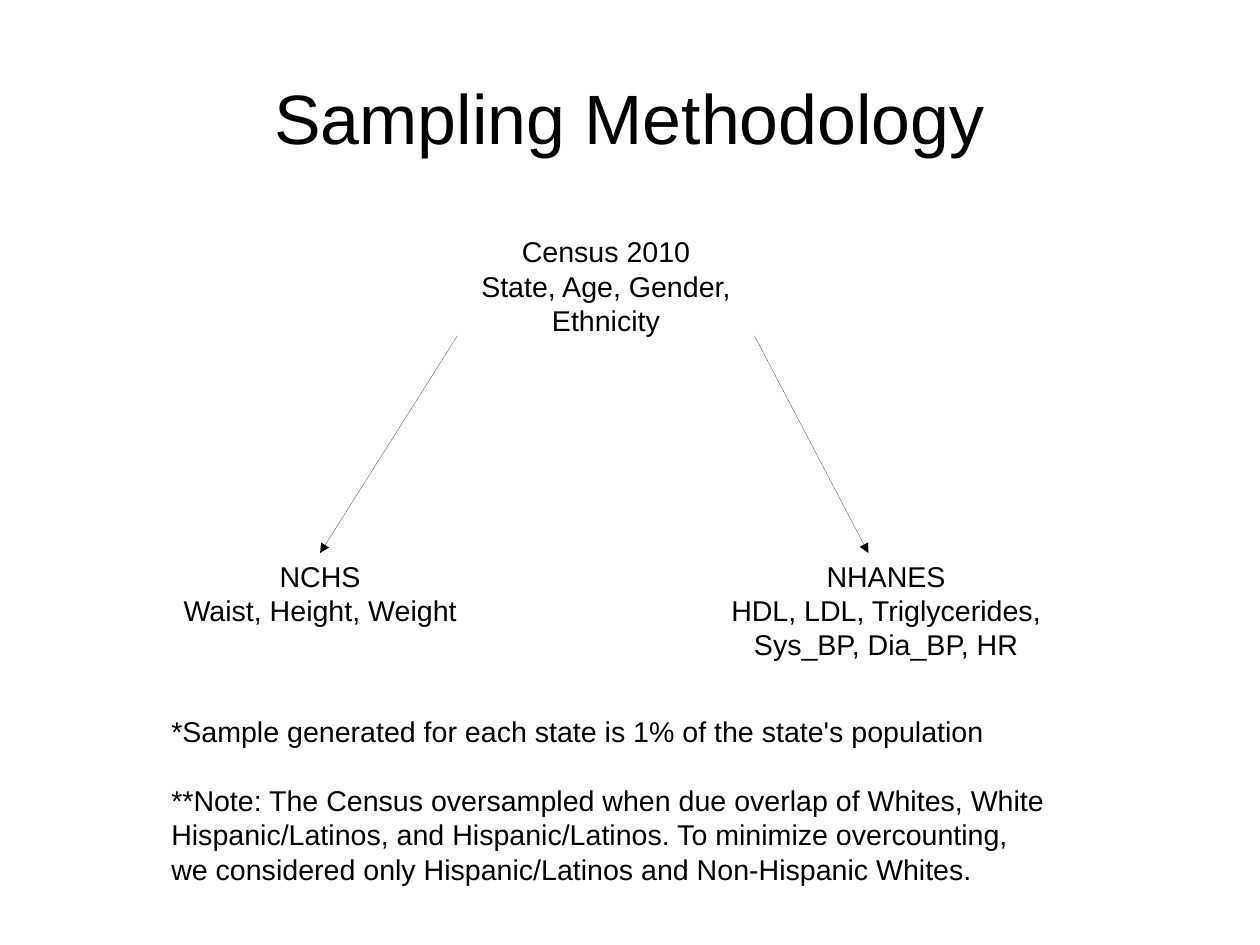
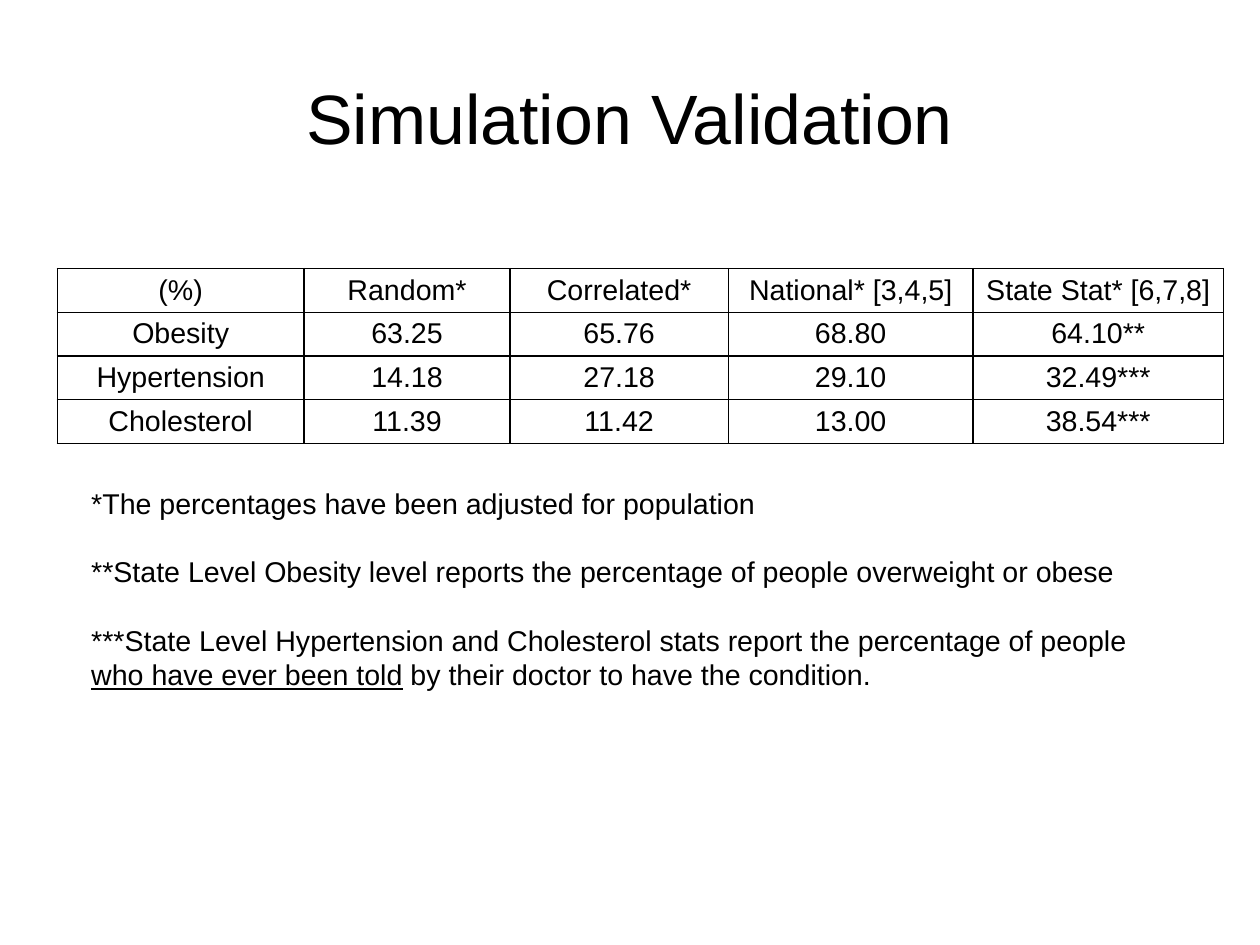
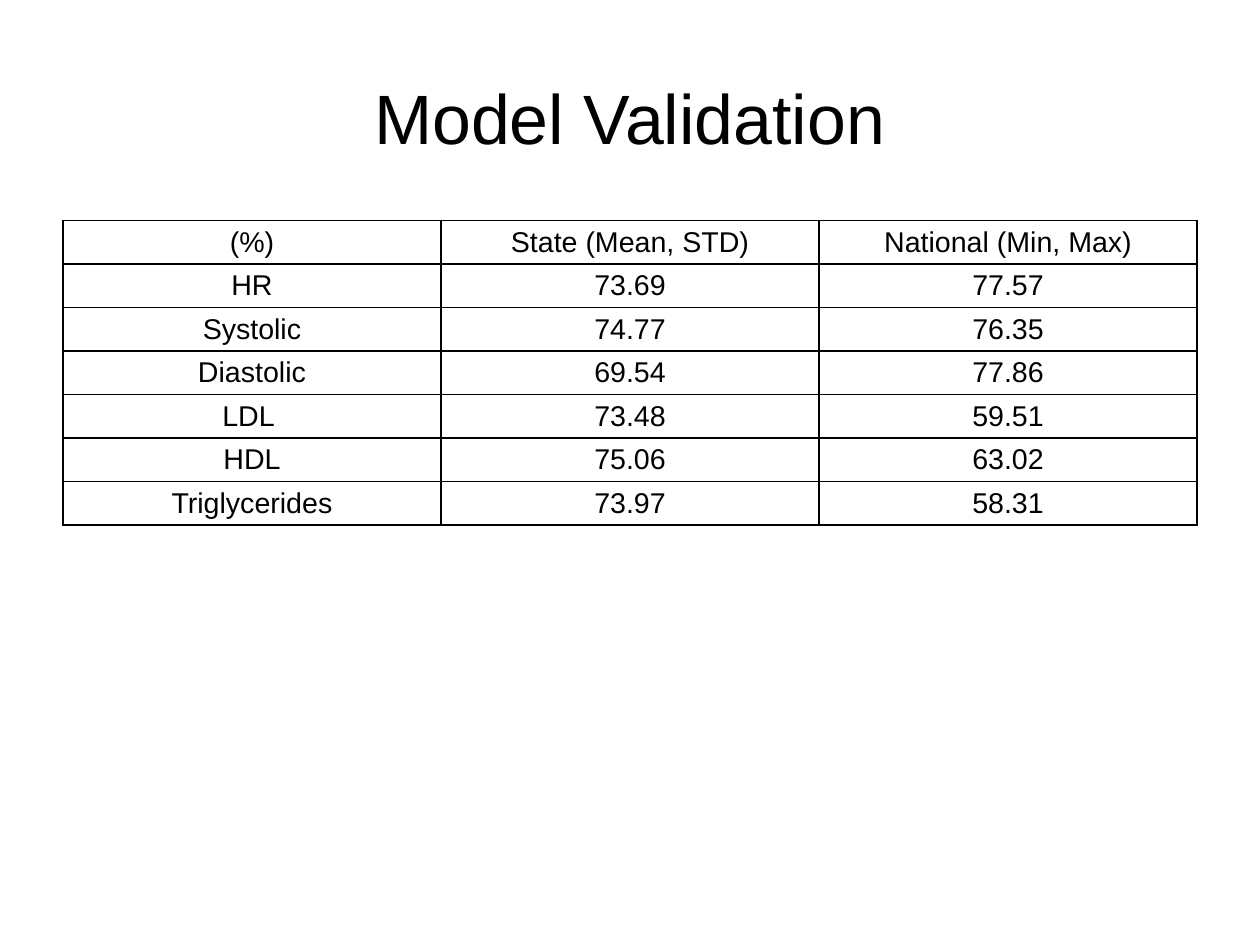
import pptx
import pptx.util
import pptx.dml.color
import pptx.enum.shapes
import pptx.enum.text
import pptx.oxml.ns
import lxml.etree

# Shared style
BLACK = pptx.dml.color.RGBColor(0x00, 0x00, 0x00)
FONT = "Arial"
TITLE_SIZE, BODY_SIZE = 44, 18
PARAGRAPH_GAP = 21.7
CENTER = pptx.enum.text.PP_ALIGN.CENTER
LEFT = pptx.enum.text.PP_ALIGN.LEFT

prs = pptx.Presentation()
prs.slide_width = pptx.util.Cm(28)
prs.slide_height = pptx.util.Cm(21)
PAGE = (0, 0, prs.slide_width, prs.slide_height)


def part(box, x, y, w, h):
    """Return the area of box given by percentages of its width and height."""
    left, top, width, height = box
    return (left + round(width * x / 100), top + round(height * y / 100),
            round(width * w / 100), round(height * h / 100))


def format_paragraph(p, size, align):
    p.alignment = align
    for r in p.runs:
        r.font.name = FONT
        r.font.size = pptx.util.Pt(size)
        r.font.color.rgb = BLACK


def add_text(s, box, lines, size=BODY_SIZE, align=CENTER, gap=0):
    tf = s.shapes.add_textbox(*box).text_frame
    tf.word_wrap = True
    tf.text = "\n".join(lines)
    for i, p in enumerate(tf.paragraphs):
        format_paragraph(p, size, align)
        p.space_before = pptx.util.Pt(gap if i else 0)
    return tf


def add_notes(s, box, lines):
    return add_text(s, box, lines, align=LEFT, gap=PARAGRAPH_GAP)


def titled_slide(title):
    s = prs.slides.add_slide(prs.slide_layouts[6])
    tf = add_text(s, part(PAGE, 5, 4, 90, 16.7), [title], TITLE_SIZE)
    tf.margin_left = tf.margin_right = tf.margin_top = tf.margin_bottom = 0
    tf.vertical_anchor = pptx.enum.text.MSO_ANCHOR.MIDDLE
    return s


def add_arrow(s, start, end):
    line = s.shapes.add_connector(
        pptx.enum.shapes.MSO_CONNECTOR.STRAIGHT, *start, *end)
    line.line.color.rgb = BLACK
    element = line._element
    lxml.etree.SubElement(element.spPr.get_or_add_ln(),
                          pptx.oxml.ns.qn("a:tailEnd"), type="triangle")
    lxml.etree.SubElement(element.spPr, pptx.oxml.ns.qn("a:effectLst"))
    # Without the theme style the line keeps the default hairline width
    element.remove(element.find(pptx.oxml.ns.qn("p:style")))


def add_sources(s, box):
    """Census at the top, with an arrow to each of the two surveys."""
    census = part(box, 32.05, 0, 33.33, 24.87)
    nchs = part(box, 0, 75.13, 33.33, 17.5)
    nhanes = part(box, 60.26, 75.13, 39.74, 24.87)
    add_text(s, census, ["Census 2010", "State, Age, Gender, Ethnicity"])
    add_text(s, nchs, ["NCHS", "Waist, Height, Weight"])
    add_text(s, nhanes,
             ["NHANES", "HDL, LDL, Triglycerides, Sys_BP, Dia_BP, HR"])
    for corner, survey, share in ((0, nchs, 50), (100, nhanes, 45)):
        add_arrow(s, part(census, corner, 100, 0, 0)[:2],
                  part(survey, share, 0, 0, 0)[:2])


def add_borders(cell):
    tcPr = cell._tc.get_or_add_tcPr()
    for i, side in enumerate(("lnL", "lnR", "lnT", "lnB")):
        ln = lxml.etree.Element(pptx.oxml.ns.qn(f"a:{side}"),
                                w=str(pptx.util.Pt(1)))
        fill = lxml.etree.SubElement(ln, pptx.oxml.ns.qn("a:solidFill"))
        lxml.etree.SubElement(fill, pptx.oxml.ns.qn("a:srgbClr"),
                              val=str(BLACK))
        tcPr.insert(i, ln)


def add_grid(s, box, rows, weights):
    table = s.shapes.add_table(len(rows), len(weights), *box).table
    table.first_row = table.horz_banding = False
    for column, weight in zip(table.columns, weights):
        column.width = round(box[2] * weight / sum(weights))
    for row, values in zip(table.rows, rows):
        row.height = round(box[3] / len(rows))
        for cell, value in zip(row.cells, values):
            cell.text = value
            cell.fill.background()
            cell.margin_top = pptx.util.Inches(0.05)
            cell.margin_bottom = pptx.util.Inches(0.03)
            format_paragraph(cell.text_frame.paragraphs[0], BODY_SIZE, CENTER)
            add_borders(cell)


# Sampling methodology
s = titled_slide("Sampling Methodology")
add_sources(s, part(PAGE, 13.61, 24.18, 70.78, 45.71))
add_notes(s, part(PAGE, 12.7, 74.97, 71.69, 18.14), [
    "*Sample generated for each state is 1% of the state's population",
    "**Note: The Census oversampled when due overlap of Whites, White "
    "Hispanic/Latinos, and Hispanic/Latinos. To minimize overcounting, "
    "we considered only Hispanic/Latinos and Non-Hispanic Whites.",
])

# Simulation validation
s = titled_slide("Simulation Validation")
add_grid(s, part(PAGE, 4.54, 28.42, 92.56, 18.5), [
    ("(%)", "Random*", "Correlated*", "National* [3,4,5]",
     "State Stat* [6,7,8]"),
    ("Obesity", "63.25", "65.76", "68.80", "64.10**"),
    ("Hypertension", "14.18", "27.18", "29.10", "32.49***"),
    ("Cholesterol", "11.39", "11.42", "13.00", "38.54***"),
], (2.16, 1.8, 1.91, 2.14, 2.19))
tf = add_notes(s, part(PAGE, 6.35, 50.79, 88.02, 21.52), [
    "*The percentages have been adjusted for population",
    "**State Level Obesity level reports the percentage of people "
    "overweight or obese",
    "***State Level Hypertension and Cholesterol stats report the "
    "percentage of people ",
])
p = tf.paragraphs[-1]
for text, underlined in (("who have ever been told", True),
                         (" by their doctor to have the condition.", False)):
    r = p.add_run()
    r.text = text
    r.font.underline = underlined
format_paragraph(p, BODY_SIZE, LEFT)

# Model validation
s = titled_slide("Model Validation")
add_grid(s, part(PAGE, 5, 23.35, 90, 31.4), [
    ("(%)", "State (Mean, STD)", "National (Min, Max)"),
    ("HR", "73.69", "77.57"),
    ("Systolic", "74.77", "76.35"),
    ("Diastolic", "69.54", "77.86"),
    ("LDL ", "73.48", "59.51"),
    ("HDL", "75.06", "63.02"),
    ("Triglycerides", "73.97", "58.31"),
], (1, 1, 1))

prs.save("out.pptx")
